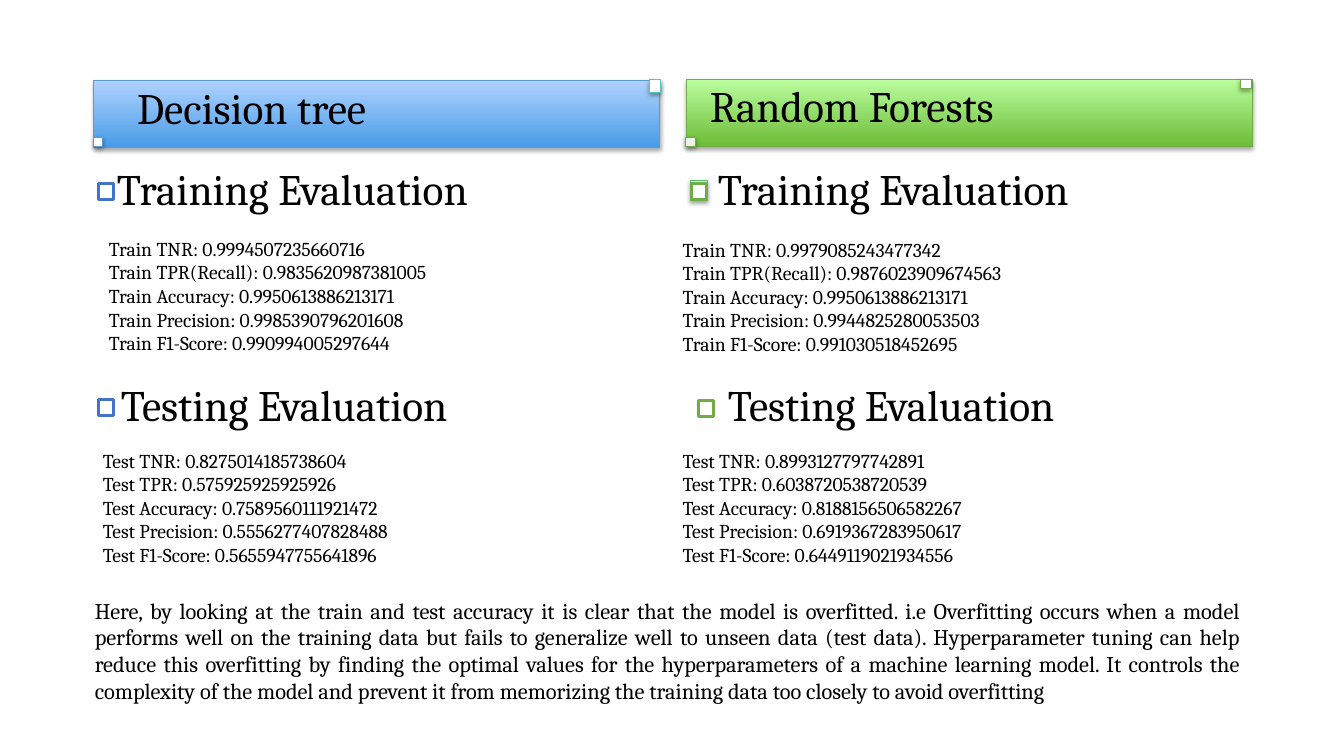
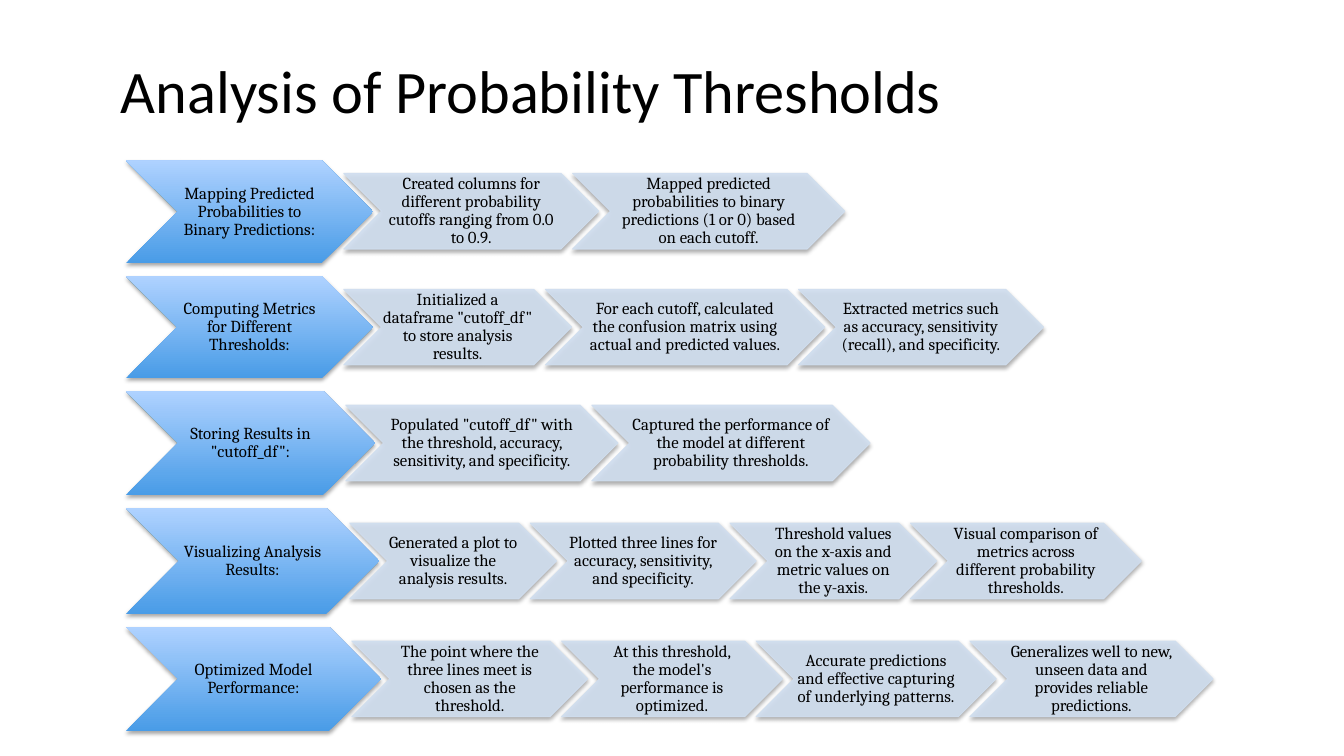
from dataclasses import dataclass

from lxml import etree
from pptx import Presentation
from pptx.dml.color import RGBColor
from pptx.enum.shapes import MSO_SHAPE
from pptx.enum.text import MSO_ANCHOR, PP_ALIGN
from pptx.oxml.ns import qn
from pptx.shapes.autoshape import Shape
from pptx.slide import Slide
from pptx.util import Emu, Pt

RECT, CHEVRON = MSO_SHAPE.RECTANGLE, MSO_SHAPE.CHEVRON
TOP, MIDDLE = MSO_ANCHOR.TOP, MSO_ANCHOR.MIDDLE
LEFT, CENTER, JUSTIFY = PP_ALIGN.LEFT, PP_ALIGN.CENTER, PP_ALIGN.JUSTIFY

SCALE = 9144  # EMU in one px, 100 px to the inch
WIDE, HIGH = 1333, 750
SERIF, SANS = "Cambria", "Calibri"
BLACK, WHITE, PALE = "000000", "FFFFFF", "D0DEEF"
SKY = ("499CE7", "AFD2FF")
LEAF = ("6DBC38", "BAFD9D")

Box = tuple[int, int, int, int]


@dataclass
class Spot:
    """A small white square on the edge of a bar."""
    box: Box
    edge: str
    fade: int = 100


@dataclass
class Group:
    """A heading with its check box and its list of scores."""
    title: str
    head: tuple[int, int]
    check: tuple[int, int]
    body: tuple[int, int]
    prefix: str
    names: tuple[str, ...]
    scores: tuple[str, ...]


@dataclass
class Panel:
    name: str
    bar: tuple[int, int]
    label: Box
    ramp: tuple[str, str]
    edge: str
    mark: str
    spots: tuple[Spot, ...]
    groups: tuple[Group, ...]


@dataclass
class Step:
    wide: int
    text: str


@dataclass
class Row:
    high: int
    head: Step
    notes: tuple[Step, ...]


TRAIN = ("TNR", "TPR(Recall)", "Accuracy", "Precision", "F1-Score")
TEST = ("TNR", "TPR", "Accuracy", "Precision", "F1-Score")

PANELS = (
    Panel(
        "Decision tree", (93, 80), (132, 80, 481, 60), SKY, "5B9BD5", "4472C4",
        (Spot((93, 136, 9, 9), "5B9BD5"), Spot((644, 79, 11, 13), "52CAB8")),
        (
            Group("Training Evaluation", (92, 140), (98, 182), (103, 230),
                  "Train", TRAIN,
                  ("0.9994507235660716", "0.9835620987381005",
                   "0.9950613886213171", "0.9985390796201608",
                   "0.990994005297644")),
            Group("Testing Evaluation", (96, 354), (98, 396), (97, 440),
                  "Test", TEST,
                  ("0.8275014185738604", "0.575925925925926",
                   "0.7589560111921472", "0.5556277407828488",
                   "0.5655947755641896")),
        ),
    ),
    Panel(
        "Random Forests", (681, 79), (700, 78, 522, 60), LEAF, "70AD47", "70AD47",
        (Spot((680, 136, 10, 9), "70AD47", 90),
         Spot((685, 179, 17, 20), "49BF64"),
         Spot((1230, 79, 11, 9), "70AD47")),
        (
            Group("Training Evaluation", (688, 140), (686, 182), (672, 231),
                  "Train", TRAIN,
                  ("0.9979085243477342", "0.9876023909674563",
                   "0.9950613886213171", "0.9944825280053503",
                   "0.991030518452695")),
            Group("Testing Evaluation", (698, 354), (693, 397), (672, 440),
                  "Test", TEST,
                  ("0.8993127797742891", "0.6038720538720539",
                   "0.8188156506582267", "0.6919367283950617",
                   "0.6449119021934556")),
        ),
    ),
)

SUMMARY = (
    "Here, by looking at the train and test accuracy it is clear that the model "
    "is overfitted. i.e Overfitting occurs when a model performs well on the "
    "training data but fails to generalize well to unseen data (test data). "
    "Hyperparameter tuning can help reduce this overfitting by finding the "
    "optimal values for the hyperparameters of a machine learning model. It "
    "controls the complexity of the model and prevent it from memorizing the "
    "training data too closely to avoid overfitting"
)

ROWS = (
    Row(102, Step(245, "Mapping Predicted Probabilities to Binary Predictions:"), (
        Step(253, "Created columns for different probability cutoffs ranging "
                  "from 0.0 to 0.9."),
        Step(270, "Mapped predicted probabilities to binary predictions (1 or 0) "
                  "based on each cutoff."),
    )),
    Row(101, Step(245, "Computing Metrics for Different Thresholds:"), (
        Step(226, 'Initialized a dataframe "cutoff_df" to store analysis results.'),
        Step(277, "For each cutoff, calculated the confusion matrix using actual "
                  "and predicted values."),
        Step(243, "Extracted metrics such as accuracy, sensitivity (recall), and "
                  "specificity."),
    )),
    Row(103, Step(247, 'Storing Results in "cutoff_df":'), (
        Step(270, 'Populated "cutoff_df" with the threshold, accuracy, '
                  "sensitivity, and specificity."),
        Step(276, "Captured the performance of the model at different "
                  "probability thresholds."),
    )),
    Row(105, Step(251, "Visualizing Analysis Results:"), (
        Step(205, "Generated a plot to visualize the analysis results."),
        Step(224, "Plotted three lines for accuracy, sensitivity, and specificity."),
        Step(205, "Threshold values on the x-axis and metric values on the y-axis."),
        Step(229, "Visual comparison of metrics across different probability "
                  "thresholds."),
    )),
    Row(103, Step(253, "Optimized Model Performance:"), (
        Step(234, "The point where the three lines meet is chosen as the threshold."),
        Step(219, "At this threshold, the model's performance is optimized."),
        Step(238, "Accurate predictions and effective capturing of underlying "
                  "patterns."),
        Step(241, "Generalizes well to new, unseen data and provides reliable "
                  "predictions."),
    )),
)


def px(count: int) -> Emu:
    return Emu(count * SCALE)


def paint(color, code: str) -> None:
    color.rgb = RGBColor.from_string(code)


def node(base, tag: str, **attrs: int | str):
    return etree.SubElement(base, qn(tag), {k: str(v) for k, v in attrs.items()})


def write(shape: Shape, text: str, *, size: float, font: str = SERIF, pad: int = 5,
          anchor=TOP, align=LEFT, lead: float = 1.0) -> None:
    """Fill a shape with text, one paragraph a line."""
    frame = shape.text_frame
    frame.word_wrap = True
    frame.vertical_anchor = anchor
    frame.margin_left = frame.margin_right = px(pad)
    frame.margin_top = frame.margin_bottom = px(pad)
    for i, line in enumerate(text.split("\n")):
        para = frame.add_paragraph() if i else frame.paragraphs[0]
        para.alignment, para.line_spacing = align, lead
        run = para.add_run()
        run.text = line
        run.font.size, run.font.name = Pt(size), font
        paint(run.font.color, BLACK)


def label(slide: Slide, box: Box, text: str, **style) -> None:
    write(slide.shapes.add_textbox(*map(px, box)), text, **style)


def shade(shape: Shape) -> None:
    """Add the soft shadow below a shape."""
    effects = shape.element.spPr.find(qn("a:effectLst"))
    drop = node(effects, "a:outerShdw", blurRad=Pt(3), dist=Pt(1.8),
                dir=90 * 60000, rotWithShape=0)
    node(node(drop, "a:srgbClr", val=BLACK), "a:alpha", val=35000)


def draw(slide: Slide, kind, box: Box, fill: str | tuple[str, str], *,
         edge: str = "", width: float = 0.75, fade: int = 100,
         shadow: bool = True) -> Shape:
    """Draw a shape; a pair of colours runs from bottom to top."""
    shape = slide.shapes.add_shape(kind, *map(px, box))
    shape.shadow.inherit = False
    if isinstance(fill, tuple):
        shape.fill.gradient()
        shape.fill.gradient_angle = 90
        for stop, code in zip(shape.fill.gradient_stops, fill):
            paint(stop.color, code)
    else:
        shape.fill.solid()
        paint(shape.fill.fore_color, fill)
    if edge:
        paint(shape.line.color, edge)
        shape.line.width = Pt(width)
    else:
        shape.line.fill.background()
    if fade < 100:
        for color in shape.element.spPr.iter(qn("a:srgbClr")):
            if color.get("val") == fill:
                node(color, "a:alpha", val=fade * 1000)
    if shadow:
        shade(shape)
    return shape


def compare(slide: Slide) -> None:
    """Set the scores of the two models side by side."""
    for panel in PANELS:
        draw(slide, RECT, (*panel.bar, 561, 66), panel.ramp, edge=panel.edge)
        label(slide, panel.label, panel.name, size=31, pad=4, anchor=MIDDLE, lead=0.9)
        for spot in panel.spots:
            draw(slide, RECT, spot.box, WHITE, edge=spot.edge, fade=spot.fade)
        for group in panel.groups:
            label(slide, (*group.head, 522, 100), group.title,
                  size=31, pad=24, anchor=MIDDLE, lead=0.9)
            draw(slide, RECT, (*group.check, 15, 16), WHITE,
                 edge=panel.mark, width=2, shadow=False)
            lines = (f"{group.prefix} {name}: {score}"
                     for name, score in zip(group.names, group.scores))
            label(slide, (*group.body, 480, 135), "\n".join(lines), size=14)
    label(slide, (89, 587, 1147, 116), SUMMARY, size=16, align=JUSTIFY)


def explain(slide: Slide) -> None:
    """Show each stage as a chain of chevrons."""
    label(slide, (115, 54, 1150, 79), "Analysis of Probability Thresholds",
          size=43.1, font=SANS, anchor=MIDDLE, lead=0.9)
    style = dict(size=12, pad=1, anchor=MIDDLE, align=CENTER, lead=0.9)
    left, top, gap, high = 125, 159, 13, 75
    for row in ROWS:
        head = draw(slide, CHEVRON, (left, top, row.head.wide, row.high), SKY)
        write(head, row.head.text, **style)
        x = left + row.head.wide - 29
        y = top + (row.high - high) // 2
        for note in row.notes:
            link = draw(slide, CHEVRON, (x, y, note.wide, high), PALE,
                        edge=PALE, fade=90)
            write(link, note.text, **style)
            x += note.wide - 26
        top += row.high + gap


def main() -> None:
    deck = Presentation()
    deck.slide_width, deck.slide_height = px(WIDE), px(HIGH)
    blank = deck.slide_layouts[6]
    for build in (compare, explain):
        build(deck.slides.add_slide(blank))
    deck.save("out.pptx")


if __name__ == "__main__":
    main()
